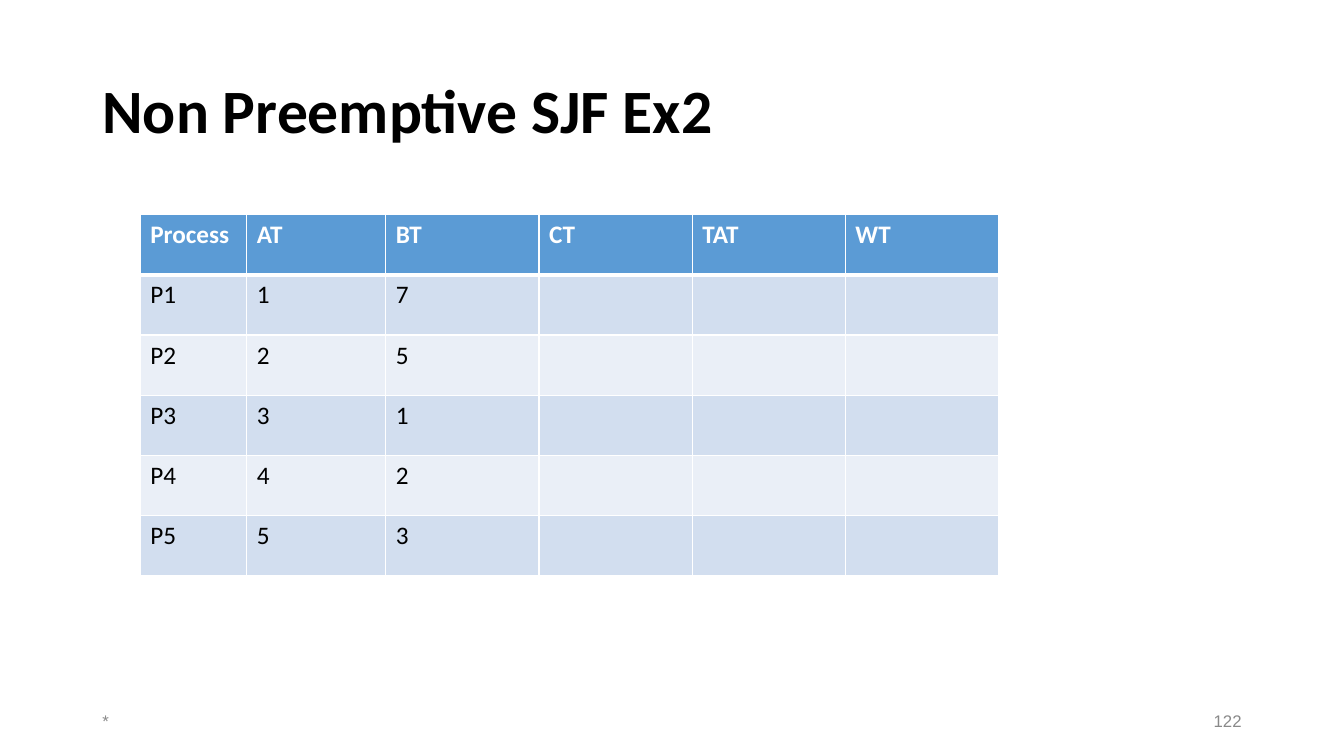
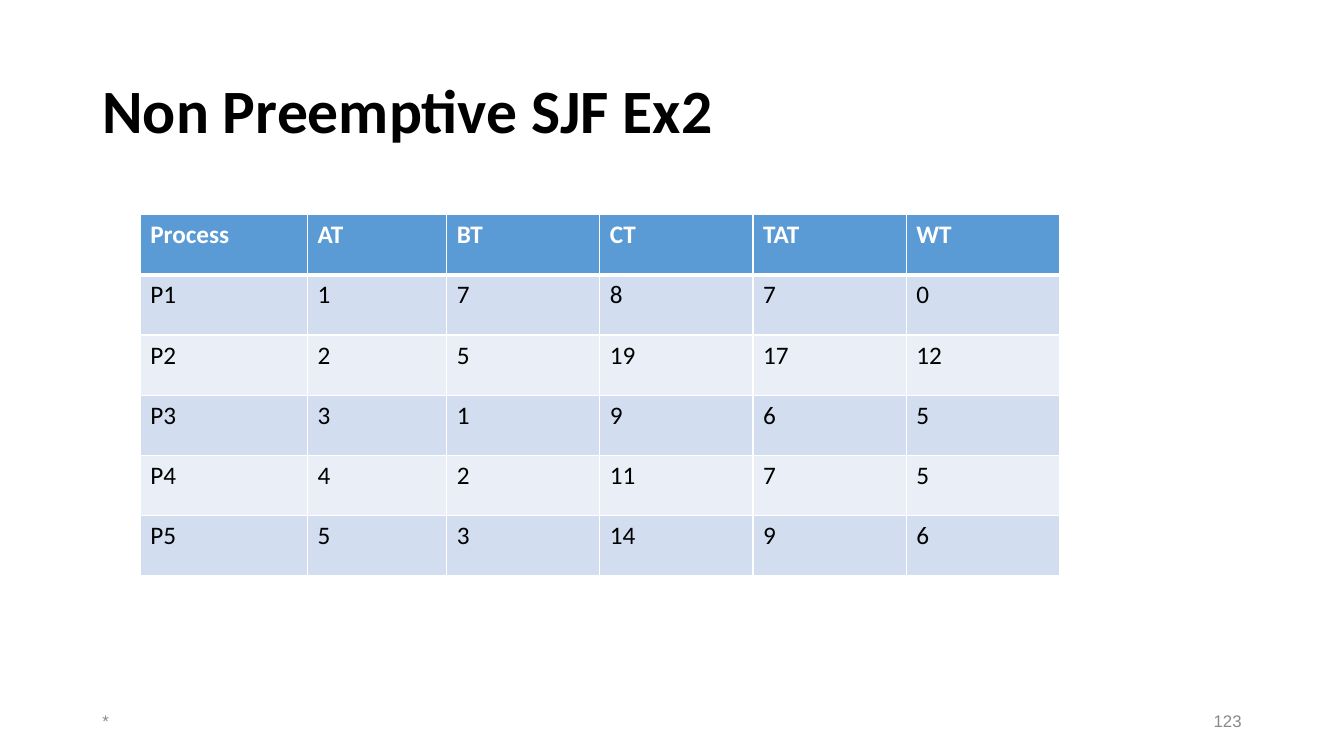
from pptx import Presentation
from pptx.dml.color import RGBColor
from pptx.enum.text import MSO_ANCHOR, PP_ALIGN
from pptx.oxml import parse_xml
from pptx.oxml.ns import nsdecls
from pptx.util import Inches, Pt

COLORS = {"title": "000000", "body": "000000", "footer": "898989",
          "header_text": "FFFFFF", "border": "FFFFFF",
          "header": "5B9BD5", "odd": "D2DEEF", "even": "EAEFF7"}
FORMATS = {
    "title": {"name": "Calibri", "size": Pt(44), "bold": True},
    "header_text": {"name": "Calibri", "size": Pt(18), "bold": True},
    "body": {"name": "Calibri", "size": Pt(18), "bold": False},
    "footer": {"name": "Arial", "size": Pt(12), "bold": False},
}

# The page is a grid of 160 columns by 90 rows, each one twelfth of an inch.
UNIT = Inches(1) // 12
COLUMNS, ROWS = 160, 90
MARGIN = 11
TITLE_AREA = (MARGIN, 4.8, COLUMNS - 2 * MARGIN, 17.4)
FOOTER_TOP, FOOTER_WIDTH, FOOTER_HEIGHT = 83.4, 36, 4.8
TABLE_LEFT, TABLE_TOP, TABLE_HEIGHT = 16.7, 25.56, 43
ARRIVAL_WIDTH, TIME_WIDTH = 16.56, 18.24

HEADINGS = ("Process", "AT", "BT", "CT", "TAT", "WT")
ARRIVALS_AND_BURSTS = [("P1", 1, 7), ("P2", 2, 5), ("P3", 3, 1),
                       ("P4", 4, 2), ("P5", 5, 3)]
RESULTS = [(8, 7, 0), (19, 17, 12), (9, 6, 5), (11, 7, 5), (14, 9, 6)]
PAGES = [
    {"number": 122, "process_width": 12.68, "results": [("", "", "")] * 5},
    {"number": 123, "process_width": 19.92, "results": RESULTS},
]


def grid(*cells):
    return [round(cell * UNIT) for cell in cells]


def write(frame, text, style, align=PP_ALIGN.LEFT):
    """Put one styled paragraph into a text frame."""
    para = frame.paragraphs[0]
    para.text = str(text)
    para.alignment = align
    for name, value in FORMATS[style].items():
        setattr(para.font, name, value)
    para.font.color.rgb = RGBColor.from_string(COLORS[style])
    return para


deck = Presentation()
deck.slide_width, deck.slide_height = grid(COLUMNS, ROWS)

for page in PAGES:
    slide = deck.slides.add_slide(deck.slide_layouts[5])

    title = slide.shapes.title
    title.left, title.top, title.width, title.height = grid(*TITLE_AREA)
    title.text_frame.vertical_anchor = MSO_ANCHOR.MIDDLE
    write(title.text_frame, "Non Preemptive SJF Ex2", "title").line_spacing = 0.9

    footers = [(MARGIN, "*", PP_ALIGN.LEFT),
               (COLUMNS - MARGIN - FOOTER_WIDTH, page["number"], PP_ALIGN.RIGHT)]
    for left, text, align in footers:
        box = slide.shapes.add_textbox(
            *grid(left, FOOTER_TOP, FOOTER_WIDTH, FOOTER_HEIGHT))
        box.text_frame.word_wrap = True
        box.text_frame.vertical_anchor = MSO_ANCHOR.MIDDLE
        write(box.text_frame, text, "footer", align)

    records = [HEADINGS] + [given + result for given, result
                            in zip(ARRIVALS_AND_BURSTS, page["results"])]
    widths = [page["process_width"], ARRIVAL_WIDTH] + [TIME_WIDTH] * 4
    table = slide.shapes.add_table(
        len(records), len(HEADINGS),
        *grid(TABLE_LEFT, TABLE_TOP, sum(widths), TABLE_HEIGHT)).table
    for column, width in zip(table.columns, grid(*widths)):
        column.width = width

    for row, record in enumerate(records):
        fill = "header" if row == 0 else "odd" if row % 2 else "even"
        borders = {"lnL": 1, "lnR": 1, "lnT": 3 if row == 1 else 1,
                   "lnB": 3 if row == 0 else 1}
        for col, value in enumerate(record):
            cell = table.cell(row, col)
            properties = cell._tc.get_or_add_tcPr()
            for side, points in borders.items():
                properties.append(parse_xml(
                    f'<a:{side} {nsdecls("a")} w="{Pt(points)}"><a:solidFill>'
                    f'<a:srgbClr val="{COLORS["border"]}"/>'
                    f'</a:solidFill></a:{side}>'))
            cell.fill.solid()
            cell.fill.fore_color.rgb = RGBColor.from_string(COLORS[fill])
            write(cell.text_frame, value, "body" if row else "header_text")

deck.save("out.pptx")
